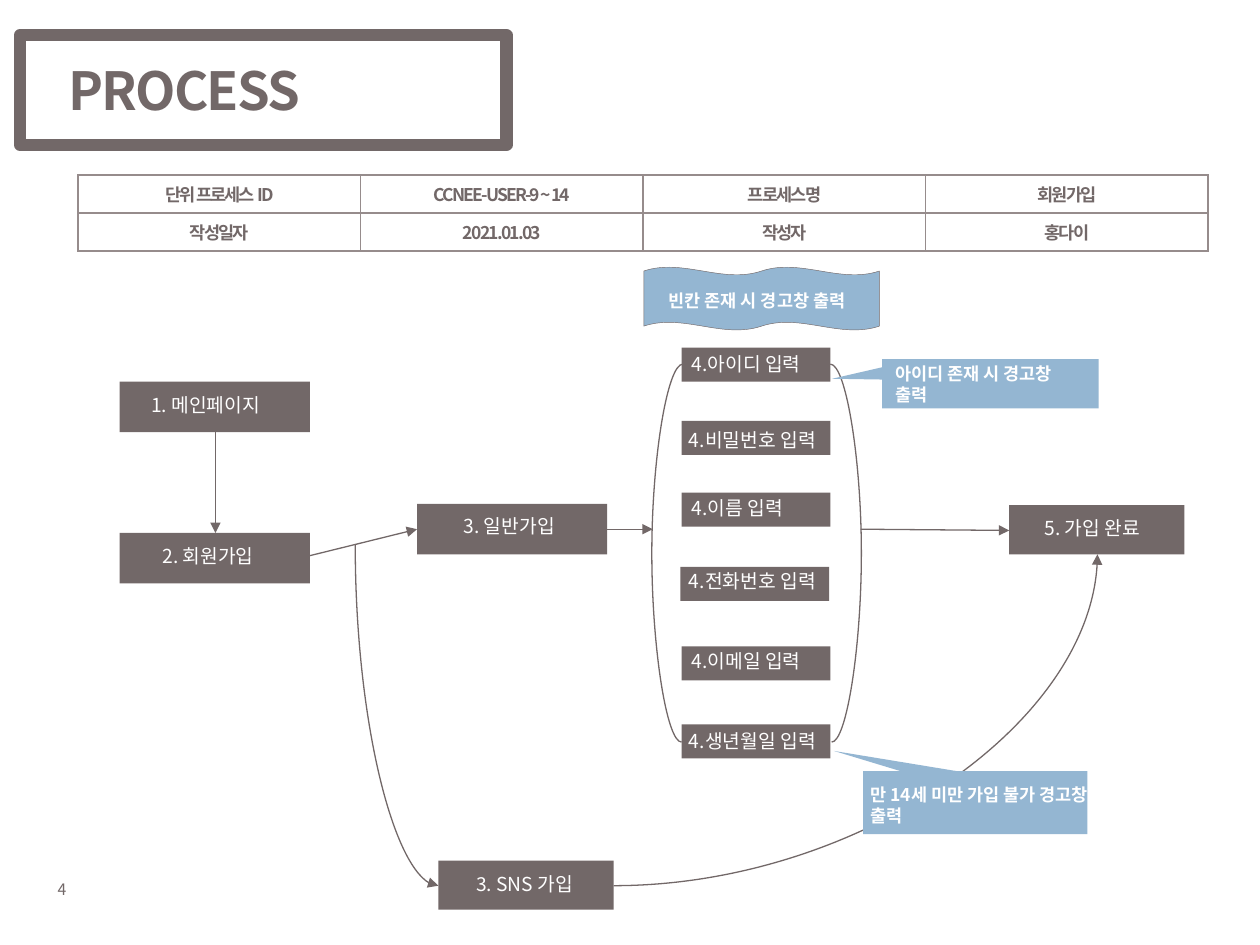
import pptx
import pptx.dml.color
import pptx.enum.shapes
import pptx.enum.text
import pptx.oxml
import pptx.oxml.ns
import pptx.util

Inches = pptx.util.Inches
Kind = pptx.enum.shapes.MSO_SHAPE
Link = pptx.enum.shapes.MSO_CONNECTOR
Align = pptx.enum.text.PP_ALIGN
Anchor = pptx.enum.text.MSO_ANCHOR
Fit = pptx.enum.text.MSO_AUTO_SIZE

FONT = "Noto Sans CJK KR"
DARK, BLUE, GRID, WHITE = "726868", "94B6D2", "968C8C", "FFFFFF"

ROWS = [
    ["단위 프로세스 ID", "CCNEE-USER-9 ~ 14", "프로세스명", "회원가입"],
    ["작성일자", "2021.01.03", "작성자", "홍다이"],
]
STEPS = [
    ("1. 메인페이지", (0.95, 3.03, 1.51, 0.4), (1.1, 3.07, 1.72)),
    ("2. 회원가입", (0.95, 4.23, 1.51, 0.4), (1.19, 4.27, 1.57)),
    ("3. 일반가입", (3.31, 4, 1.51, 0.4), (3.58, 4.03, 1.54)),
    ("3. SNS 가입", (3.48, 6.83, 1.39, 0.39), (3.68, 6.87, 1.63)),
    ("5. 가입 완료", (8.01, 4.01, 1.39, 0.39), (8.19, 4.05, 2.06)),
]
FIELDS = [
    ("4.아이디 입력", 5.41, 2.76, 5.39, 2.75, 1.91),
    ("4.비밀번호 입력", 5.41, 3.34, 5.37, 3.35, 2.06),
    ("4.이름 입력", 5.41, 3.91, 5.39, 3.89, 2.06),
    ("4.전화번호 입력", 5.4, 4.5, 5.37, 4.47, 2.06),
    ("4.이메일 입력", 5.41, 5.13, 5.39, 5.1, 2.06),
    ("4.생년월일 입력", 5.41, 5.75, 5.37, 5.74, 2.06),
]
ARROWS = [
    (1.71, 3.43, 1.71, 4.23),
    (2.46, 4.41, 3.31, 4.2),
    (4.82, 4.2, 5.18, 4.2),
    (6.83, 4.2, 8.01, 4.21),
]
ARCS = [(5.42, 2.89, 5.41, 5.89), (6.59, 2.89, 6.6, 5.89)]
BENDS = [
    ((4.87, 7.03, 8.71, 4.4), "tailEnd"),
    ((3.48, 7.03, 2.82, 4.32), "headEnd"),
]
NOTES = [
    (Kind.RECTANGULAR_CALLOUT, (7, 2.85, 1.72, 0.39), (-0.73, -0.1),
     "아이디 존재 시 경고창\n출력", (7.01, 2.83, 1.76, 0.44)),
    (Kind.RECTANGULAR_CALLOUT, (6.85, 6.12, 1.78, 0.5), (-0.63, -0.82),
     "만 14세 미만 가입 불가 경고창 출력", (6.81, 6.17, 1.92, 0.44)),
    (Kind.DOUBLE_WAVE, (5.11, 2.12, 1.87, 0.5), (),
     "빈칸 존재 시 경고창 출력", (5.21, 2.25, 1.91, 0.27)),
]


def color(code):
    return pptx.dml.color.RGBColor.from_string(code)


def node(tag, inner="", **attrs):
    pairs = "".join(f' {key}="{val}"' for key, val in attrs.items())
    space = pptx.oxml.ns.nsdecls("a")
    return pptx.oxml.parse_xml(f"<a:{tag} {space}{pairs}>{inner}</a:{tag}>")


def write(frame, text, size=11, ink=WHITE, bold=False, gap=None, align=Align.LEFT):
    for num, line in enumerate(text.split("\n")):
        para = frame.add_paragraph() if num else frame.paragraphs[0]
        para.alignment = align
        run = para.add_run()
        run.text = line
        run.font.name, run.font.size = FONT, pptx.util.Pt(size)
        run.font.bold = bold
        run.font.color.rgb = color(ink)
        props = run._r.get_or_add_rPr()
        props.find(pptx.oxml.ns.qn("a:latin")).addnext(node("ea", typeface=FONT))
        if gap is not None:
            props.set("spc", str(gap * 100))


def label(slide, text, box, wrap=True, **style):
    frame = slide.shapes.add_textbox(*map(Inches, box)).text_frame
    frame.word_wrap = wrap
    write(frame, text, **style)


def block(slide, kind, box, fill=None, line=None, width=1):
    shape = slide.shapes.add_shape(kind, *map(Inches, box))
    shape.shadow.inherit = False
    if fill:
        shape.fill.solid()
        shape.fill.fore_color.rgb = color(fill)
    else:
        shape.fill.background()
    if line:
        shape.line.color.rgb = color(line)
        shape.line.width = pptx.util.Pt(width)
    else:
        shape.line.fill.background()
    return shape


def join(slide, kind, ends, tip="tailEnd", preset=None, bulge=None):
    wire = slide.shapes.add_connector(kind, *map(Inches, ends))
    wire.line.color.rgb = color(DARK)
    wire.line.width = pptx.util.Pt(0.75)
    props = wire._element.spPr
    props.append(node("effectLst"))
    if tip:
        wire.line._get_or_add_ln().append(node(tip, type="triangle"))
    geom = props.find(pptx.oxml.ns.qn("a:prstGeom"))
    if preset:
        geom.set("prst", preset)
    if bulge:
        guide = f'<a:gd name="adj1" fmla="val {bulge * 100000}"/>'
        for old in list(geom):
            geom.remove(old)
        geom.append(node("avLst", guide))


def grid(slide):
    frame = slide.shapes.add_table(2, 4, *map(Inches, (0.62, 1.39, 8.97, 0.6)))
    table = frame.table
    table.first_row = table.horz_banding = False
    for col in table.columns:
        col.width = Inches(8.97 / 4)
    fill = f'<a:solidFill><a:srgbClr val="{GRID}"/></a:solidFill>'
    for r, texts in enumerate(ROWS):
        table.rows[r].height = Inches(0.3)
        for c, text in enumerate(texts):
            cell = table.cell(r, c)
            cell.vertical_anchor = Anchor.MIDDLE
            cell.fill.background()
            props = cell._tc.get_or_add_tcPr()
            for spot, side in enumerate("LRTB"):
                props.insert(spot, node("ln" + side, fill, w=12700))
            write(cell.text_frame, text, size=10, ink=DARK, bold=True, gap=-1,
                  align=Align.CENTER)


def main():
    """Build the sign-up process slide."""
    deck = pptx.Presentation()
    deck.slide_width, deck.slide_height = Inches(10), Inches(7.5)
    slide = deck.slides.add_slide(deck.slide_layouts[5])

    label(slide, "4", (0.36, 6.93, 0.52, 0.25), wrap=False, size=9, ink=DARK)
    title = slide.shapes.title
    title.left, title.top, title.width, title.height = map(
        Inches, (0.44, 0.08, 7.17, 1.26))
    title.text_frame.auto_size = Fit.NONE
    title.text_frame.vertical_anchor = Anchor.MIDDLE
    write(title.text_frame, "PROCESS", size=30, ink=DARK, bold=True, gap=-1)
    block(slide, Kind.RECTANGLE, (0.16, 0.28, 3.86, 0.87), line=DARK, width=7)
    grid(slide)

    fields = [(text, (x, y, 1.18, 0.27), tuple(spot))
              for text, x, y, *spot in FIELDS]
    for text, box, spot in STEPS + fields:
        block(slide, Kind.RECTANGLE, box, fill=DARK)
        label(slide, text, (*spot, 0.29))

    for ends in ARROWS:
        join(slide, Link.STRAIGHT, ends)
    for ends in ARCS:
        join(slide, Link.CURVE, ends, tip=None, bulge=25)
    for ends, tip in BENDS:
        join(slide, Link.CURVE, ends, tip=tip, preset="curvedConnector2")

    for kind, box, point, text, spot in NOTES:
        edge = DARK if kind == Kind.DOUBLE_WAVE else None
        shape = block(slide, kind, box, fill=BLUE, line=edge, width=0.25)
        for num, value in enumerate(point):
            shape.adjustments[num] = value
        label(slide, text, spot, size=10, bold=True)

    deck.save("out.pptx")


if __name__ == "__main__":
    main()
